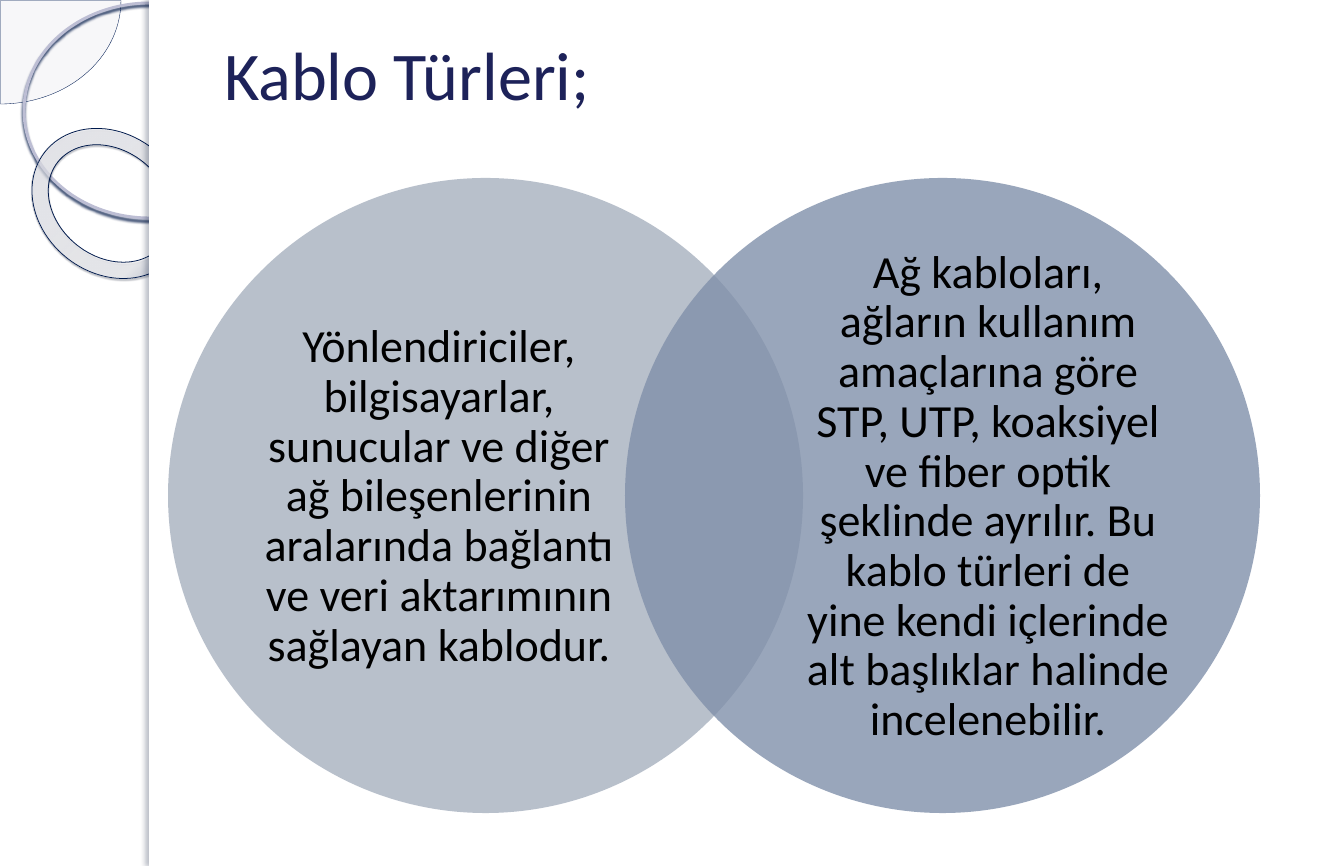
"""Build the cable types slide: a title and two overlapping circles beside a decorated margin."""
import pptx
import pptx.util
import pptx.oxml
import pptx.dml.color
import pptx.enum.shapes
import pptx.enum.text
from lxml import etree
from pptx.oxml.ns import nsdecls, qn

PX = 914400 / 97.5
SHAPE = pptx.enum.shapes.MSO_SHAPE
ALIGN = pptx.enum.text.PP_ALIGN
CIRCLE = 635
CIRCLE_TOP = 178
TEXT_TOP, TEXT_W, TEXT_H = 254, 366, 486
CIRCLES = [
    (168, "738299", 50, 256,
     "Yönlendiriciler, bilgisayarlar, sunucular ve diğer ağ bileşenlerinin "
     "aralarında bağlantı ve veri aktarımının sağlayan kablodur."),
    (625, "8090AA", 80, 805,
     "Ağ kabloları, ağların kullanım amaçlarına göre STP, UTP, koaksiyel ve fiber "
     "optik şeklinde ayrılır. Bu kablo türleri de yine kendi içlerinde alt başlıklar "
     "halinde incelenebilir."),
]


def px(n):
    return pptx.util.Emu(round(n * PX))


def rgb(color):
    return pptx.dml.color.RGBColor.from_string(color)


def add_alpha(clr, percent):
    etree.SubElement(clr, qn("a:alpha")).set("val", str(percent * 1000))


def add_shape(s, kind, x, y, w, h, fill=None, alpha=100, line=None, width=0, adj=()):
    sp = s.shapes.add_shape(kind, px(x), px(y), px(w), px(h))
    sp.shadow.inherit = False
    for i, value in enumerate(adj):
        sp.adjustments[i] = value
    if fill:
        sp.fill.solid()
        sp.fill.fore_color.rgb = rgb(fill)
        if alpha < 100:
            add_alpha(sp.element.spPr.find(".//" + qn("a:srgbClr")), alpha)
    else:
        sp.fill.background()
    if line:
        sp.line.color.rgb = rgb(line)
        sp.line.width = pptx.util.Pt(width)
    else:
        sp.line.fill.background()
    return sp


def set_shadow(sp, color, alpha, blur, dist, angle):
    effects = sp.element.spPr.find(qn("a:effectLst"))
    shadow = etree.SubElement(effects, qn("a:outerShdw"))
    shadow.set("blurRad", str(pptx.util.Pt(blur)))
    shadow.set("dist", str(pptx.util.Pt(dist)))
    shadow.set("dir", str(angle * 60000))
    shadow.set("rotWithShape", "0")
    clr = etree.SubElement(shadow, qn("a:srgbClr"))
    clr.set("val", color)
    add_alpha(clr, alpha)


def set_radial_fill(sp, stops, left, top, right, bottom):
    sp.fill.gradient()
    old = sp.element.spPr.find(qn("a:gradFill"))
    gs = "".join(
        f'<a:gs pos="{pos * 1000}"><a:srgbClr val="{color}">'
        f'<a:alpha val="{alpha * 1000}"/></a:srgbClr></a:gs>'
        for pos, color, alpha in stops)
    new = pptx.oxml.parse_xml(
        f'<a:gradFill {nsdecls("a")} rotWithShape="1"><a:gsLst>{gs}</a:gsLst>'
        f'<a:path path="circle"><a:fillToRect l="{left * 1000}" t="{top * 1000}" '
        f'r="{right * 1000}" b="{bottom * 1000}"/></a:path></a:gradFill>')
    old.getparent().replace(old, new)


def set_text(sp, text, size, color, align, inset_x=0, inset_y=0):
    tf = sp.text_frame
    tf.word_wrap = True
    tf.auto_size = pptx.enum.text.MSO_AUTO_SIZE.NONE
    tf.vertical_anchor = pptx.enum.text.MSO_ANCHOR.MIDDLE
    tf.margin_left = tf.margin_right = px(inset_x)
    tf.margin_top = tf.margin_bottom = px(inset_y)
    p = tf.paragraphs[0]
    p.alignment = align
    r = p.add_run()
    r.text = text
    r.font.size = pptx.util.Pt(size)
    r.font.name = "Calibri"
    r.font.color.rgb = rgb(color)
    return p


def add_margin(s):
    add_shape(s, SHAPE.PIE, -120, -103, 241, 207, "E9E9EE", 33, "001B52", 0.25,
              adj=(0, 54))
    ring = add_shape(s, SHAPE.OVAL, 24, 3, 251, 215, line="BDBED4", width=2.15)
    set_shadow(ring, "001847", 85, 2, 2, 90)
    donut = add_shape(s, SHAPE.DONUT, 27, 134, 166, 139, line="001A4D", width=0.58,
                      adj=(0.118,))
    donut.rotation = 38.6
    stops = [(0, "F1F1F5", 70), (70, "F7F7FA", 55), (100, "001C55", 60)]
    set_radial_fill(donut, stops, -408, -50, 508, 150)
    set_shadow(donut, "000C23", 35, 1, 1.2, 75)
    add_shape(s, SHAPE.RECTANGLE, 149, 0, 1195, 866, "FFFFFF")
    edge = add_shape(s, SHAPE.RECTANGLE, 149, 0, 11, 866, "FFFFFF")
    set_shadow(edge, "001030", 25, 3, 3, 180)


def add_title(s, text):
    sp = s.shapes.title
    sp.left, sp.top, sp.width, sp.height = px(211), px(35), px(1102), px(76)
    set_text(sp, text, 50.4, "1D2259", ALIGN.LEFT, 13, 6)
    sp.element.getparent().append(sp.element)


def add_circle(s, x, fill, alpha, text_x, text):
    add_shape(s, SHAPE.OVAL, x, CIRCLE_TOP, CIRCLE, CIRCLE, fill, alpha)
    box = s.shapes.add_textbox(px(text_x), px(TEXT_TOP), px(TEXT_W), px(TEXT_H))
    p = set_text(box, text, 34, "000000", ALIGN.CENTER)
    p.line_spacing = 0.9


def main():
    prs = pptx.Presentation()
    prs.slide_width, prs.slide_height = px(1344), px(866)
    s = prs.slides.add_slide(prs.slide_layouts[5])
    add_margin(s)
    add_title(s, "Kablo Türleri;")
    for circle in CIRCLES:
        add_circle(s, *circle)
    prs.save("out.pptx")


if __name__ == "__main__":
    main()
